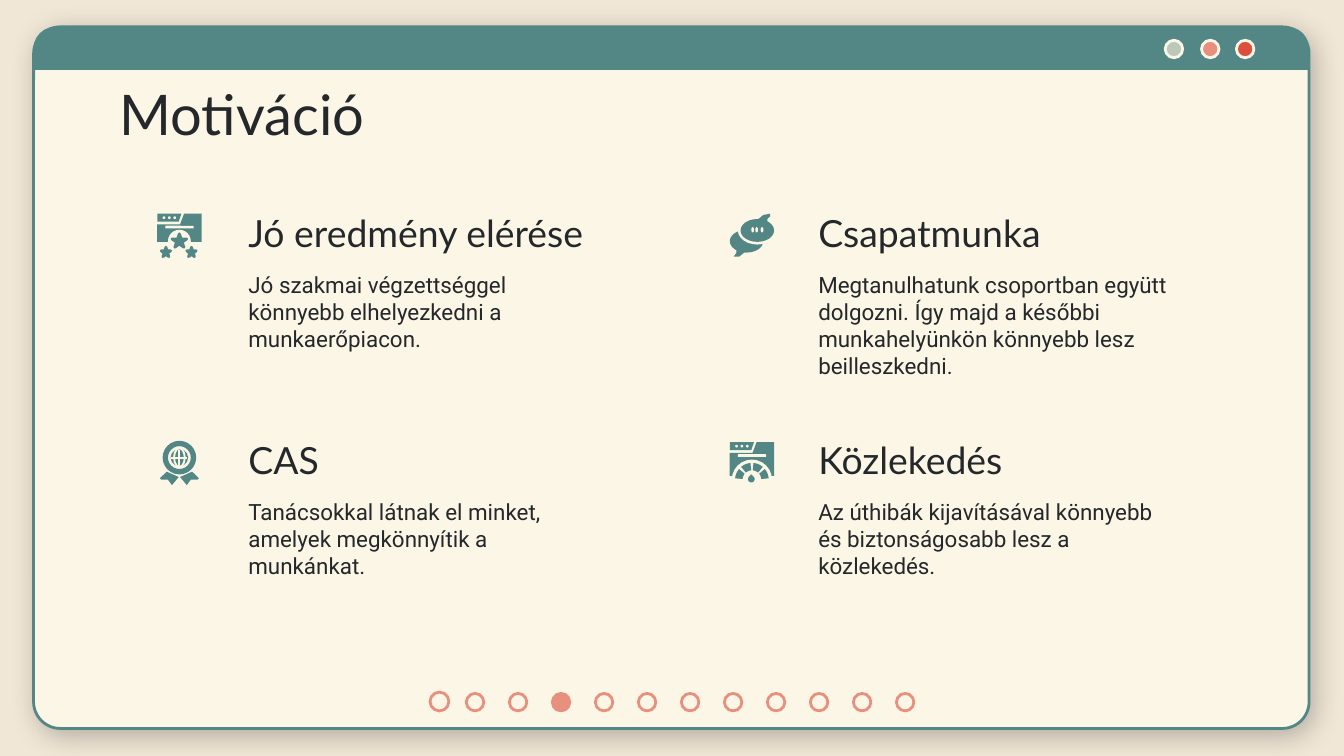
from dataclasses import dataclass
from math import cos, radians, sin
from typing import Callable, Optional

from lxml.etree import SubElement
from pptx import Presentation
from pptx.dml.color import RGBColor
from pptx.enum.shapes import MSO_CONNECTOR, MSO_SHAPE
from pptx.enum.text import MSO_ANCHOR
from pptx.oxml.ns import qn
from pptx.shapes.autoshape import Shape
from pptx.shapes.shapetree import GroupShapes
from pptx.slide import Slide
from pptx.util import Inches, Pt

SAND = RGBColor(0xF1, 0xE7, 0xD6)
CREAM = RGBColor(0xFC, 0xF6, 0xE7)
TEAL = RGBColor(0x53, 0x87, 0x86)
SAGE = RGBColor(0xBB, 0xC8, 0xBA)
CORAL = RGBColor(0xE6, 0x90, 0x7D)
RED = RGBColor(0xDD, 0x4F, 0x3D)
INK = RGBColor(0x24, 0x28, 0x2A)

Points = list[tuple[float, float]]


@dataclass(frozen=True)
class Topic:
    heading: str
    body: str
    left: float
    top: float
    draw_icon: Callable[[GroupShapes, float, float], None]
    icon_left: float
    icon_top: float


def paint(shape: Shape, fill: RGBColor, line: Optional[RGBColor] = None) -> Shape:
    shape.shadow.inherit = False
    shape.fill.solid()
    shape.fill.fore_color.rgb = fill
    if line is None:
        shape.line.fill.background()
    else:
        shape.line.color.rgb = line
        shape.line.width = Pt(1.5)
    return shape


def add_figure(shapes, kind: MSO_SHAPE, left: float, top: float, width: float,
               height: float, fill: RGBColor, line: Optional[RGBColor] = None) -> Shape:
    shape = shapes.add_shape(kind, Inches(left), Inches(top), Inches(width), Inches(height))
    return paint(shape, fill, line)


def add_outline(shapes: GroupShapes, left: float, top: float, points: Points) -> Shape:
    corners = [(Inches(left + x), Inches(top + y)) for x, y in points]
    builder = shapes.build_freeform(*corners[0])
    builder.add_line_segments(corners[1:], close=True)
    return paint(builder.convert_to_shape(), TEAL)


def add_line(shapes: GroupShapes, x1: float, y1: float, x2: float, y2: float) -> None:
    line = shapes.add_connector(MSO_CONNECTOR.STRAIGHT, Inches(x1), Inches(y1), Inches(x2), Inches(y2))
    line.line.color.rgb = CREAM
    line.line.width = Pt(1)
    SubElement(line._element.spPr, qn("a:effectLst"))


def add_text(page: Slide, text: str, left: float, top: float, width: float, height: float,
             font: str, size: int, anchor: MSO_ANCHOR = MSO_ANCHOR.TOP) -> None:
    box = page.shapes.add_textbox(Inches(left), Inches(top), Inches(width), Inches(height))
    frame = box.text_frame
    frame.word_wrap = True
    frame.vertical_anchor = anchor
    frame.margin_left = frame.margin_right = Inches(0.1)
    frame.margin_top = frame.margin_bottom = Inches(0.1)
    para = frame.paragraphs[0]
    para.text = text
    para.font.name = font
    para.font.size = Pt(size)
    para.font.color.rgb = INK


def add_browser(shapes: GroupShapes, left: float, top: float, height: float) -> None:
    add_outline(shapes, left, top, [(0, 0), (0.18, 0), (0.16, 0.06), (0, 0.06)])
    add_outline(shapes, left, top, [(0.2, 0), (0.33, 0), (0.33, height), (0, height),
                                    (0, 0.08), (0.17, 0.08)])
    for x in (0.04, 0.08, 0.12):
        add_figure(shapes, MSO_SHAPE.OVAL, left + x, top + 0.02, 0.02, 0.02, CREAM)
    add_figure(shapes, MSO_SHAPE.ROUNDED_RECTANGLE, left + 0.06, top + 0.09, 0.21, 0.02, CREAM)


def draw_stars(shapes: GroupShapes, left: float, top: float) -> None:
    add_browser(shapes, left, top, 0.21)
    add_figure(shapes, MSO_SHAPE.OVAL, left + 0.08, top + 0.12, 0.17, 0.17, CREAM)
    star = MSO_SHAPE.STAR_5_POINT
    add_figure(shapes, star, left + 0.11, top + 0.15, 0.11, 0.1, TEAL, TEAL)
    for x in (0.03, 0.22):
        add_figure(shapes, star, left + x, top + 0.25, 0.07, 0.07, TEAL, TEAL)


def draw_gauge(shapes: GroupShapes, left: float, top: float) -> None:
    add_browser(shapes, left, top, 0.25)
    x, y, inner, outer = 0.165, 0.28, 0.07, 0.125
    add_figure(shapes, MSO_SHAPE.OVAL, left + x - 0.15, top + y - 0.15, 0.3, 0.3, CREAM)
    for start in range(180, 360, 45):
        sweep = range(start + 5, start + 41, 5)
        arc = [(outer, angle) for angle in sweep] + [(inner, angle) for angle in reversed(sweep)]
        add_outline(shapes, left, top, [(x + radius * cos(radians(angle)), y + radius * sin(radians(angle)))
                                        for radius, angle in arc])
    needle = add_figure(shapes, MSO_SHAPE.TEAR, left + x - 0.03, top + y - 0.03, 0.05, 0.05, TEAL)
    needle.rotation = -45


def draw_badge(shapes: GroupShapes, left: float, top: float) -> None:
    ribbon = [(0.07, 0.23), (0.02, 0.28), (0.03, 0.29), (0.08, 0.29), (0.11, 0.33), (0.16, 0.27)]
    add_outline(shapes, left, top, ribbon)
    add_outline(shapes, left, top, [(0.33 - x, y) for x, y in ribbon])
    ring = add_figure(shapes, MSO_SHAPE.DONUT, left + 0.04, top, 0.25, 0.25, TEAL)
    ring.adjustments[0] = 0.16
    add_figure(shapes, MSO_SHAPE.OVAL, left + 0.1, top + 0.06, 0.13, 0.13, TEAL)
    x, y = left + 0.165, top + 0.125
    add_line(shapes, x, y - 0.06, x, y + 0.06)
    add_line(shapes, x - 0.06, y, x + 0.06, y)
    meridian = add_figure(shapes, MSO_SHAPE.OVAL, x - 0.04, y - 0.07, 0.08, 0.14, TEAL, CREAM)
    meridian.fill.background()
    meridian.line.width = Pt(1)


def draw_bubbles(shapes: GroupShapes, left: float, top: float) -> None:
    add_figure(shapes, MSO_SHAPE.OVAL, left, top + 0.12, 0.25, 0.17, TEAL)
    add_outline(shapes, left, top, [(0.05, 0.26), (0.05, 0.29), (0.03, 0.32), (0.07, 0.32), (0.12, 0.28)])
    add_figure(shapes, MSO_SHAPE.OVAL, left + 0.06, top + 0.02, 0.29, 0.21, CREAM)
    add_figure(shapes, MSO_SHAPE.OVAL, left + 0.08, top + 0.04, 0.25, 0.17, TEAL)
    add_outline(shapes, left, top, [(0.2, 0.05), (0.25, 0.01), (0.3, 0), (0.3, 0.02), (0.28, 0.04), (0.28, 0.07)])
    for x in (0.16, 0.19, 0.23):
        add_figure(shapes, MSO_SHAPE.OVAL, left + x, top + 0.1, 0.02, 0.04, CREAM)


def add_window(page: Slide) -> None:
    panel = add_figure(page.shapes, MSO_SHAPE.ROUNDED_RECTANGLE, 0.25, 0.2, 9.49, 5.22, CREAM, TEAL)
    panel.adjustments[0] = 0.038
    effects = panel._element.spPr.find(qn("a:effectLst"))
    shadow = SubElement(effects, qn("a:outerShdw"), blurRad=str(Pt(14.6)), dist=str(Pt(3.8)),
                        dir=str(50 * 60000), algn="bl", rotWithShape="0")
    color = SubElement(shadow, qn("a:srgbClr"), val=str(INK))
    SubElement(color, qn("a:alpha"), val="30000")
    header = add_figure(page.shapes, MSO_SHAPE.ROUND_2_SAME_RECTANGLE, 0.25, 0.2, 9.49, 0.32, TEAL)
    header.adjustments[0] = 0.5
    for left, fill in ((8.67, SAGE), (8.94, CORAL), (9.2, RED)):
        add_figure(page.shapes, MSO_SHAPE.OVAL, left, 0.3, 0.13, 0.13, fill, CREAM)


def add_topic(page: Slide, topic: Topic) -> None:
    add_text(page, topic.heading, topic.left, topic.top, 2.84, 0.5, "Lato", 20, MSO_ANCHOR.BOTTOM)
    add_text(page, topic.body, topic.left, topic.top + 0.42, 2.84, 1.2, "Roboto", 12)
    icon = page.shapes.add_group_shape()
    topic.draw_icon(icon.shapes, topic.icon_left, topic.icon_top)


def add_page_dots(page: Slide, count: int, current: int) -> None:
    add_figure(page.shapes, MSO_SHAPE.OVAL, 3.2, 5.15, 0.14, 0.14, CREAM, CORAL)
    for index in range(count):
        fill = CORAL if index == current else CREAM
        add_figure(page.shapes, MSO_SHAPE.OVAL, 3.47 + 0.32 * index, 5.16, 0.13, 0.13, fill, CORAL)


TOPICS = [
    Topic("Jó eredmény elérése",
          "Jó szakmai végzettséggel könnyebb elhelyezkedni a munkaerőpiacon.",
          1.75, 1.5, draw_stars, 1.17, 1.59),
    Topic("Csapatmunka",
          "Megtanulhatunk csoportban együtt dolgozni. Így majd a későbbi "
          "munkahelyünkön könnyebb lesz beilleszkedni.",
          5.99, 1.5, draw_bubbles, 5.43, 1.59),
    Topic("CAS",
          "Tanácsokkal látnak el minket, amelyek megkönnyítik a munkánkat.",
          1.75, 3.19, draw_badge, 1.17, 3.28),
    Topic("Közlekedés",
          "Az úthibák kijavításával könnyebb és biztonságosabb lesz a közlekedés.",
          5.99, 3.19, draw_gauge, 5.43, 3.29),
]


def main() -> None:
    deck = Presentation()
    deck.slide_width = Inches(10)
    deck.slide_height = Inches(10 * 9 / 16)
    page = deck.slides.add_slide(deck.slide_layouts[6])
    page.background.fill.solid()
    page.background.fill.fore_color.rgb = SAND
    add_window(page)
    add_text(page, "Motiváció", 0.79, 0.49, 8.43, 0.63, "Lato", 30)
    for topic in TOPICS:
        add_topic(page, topic)
    add_page_dots(page, 11, 2)
    deck.save("out.pptx")


if __name__ == "__main__":
    main()
